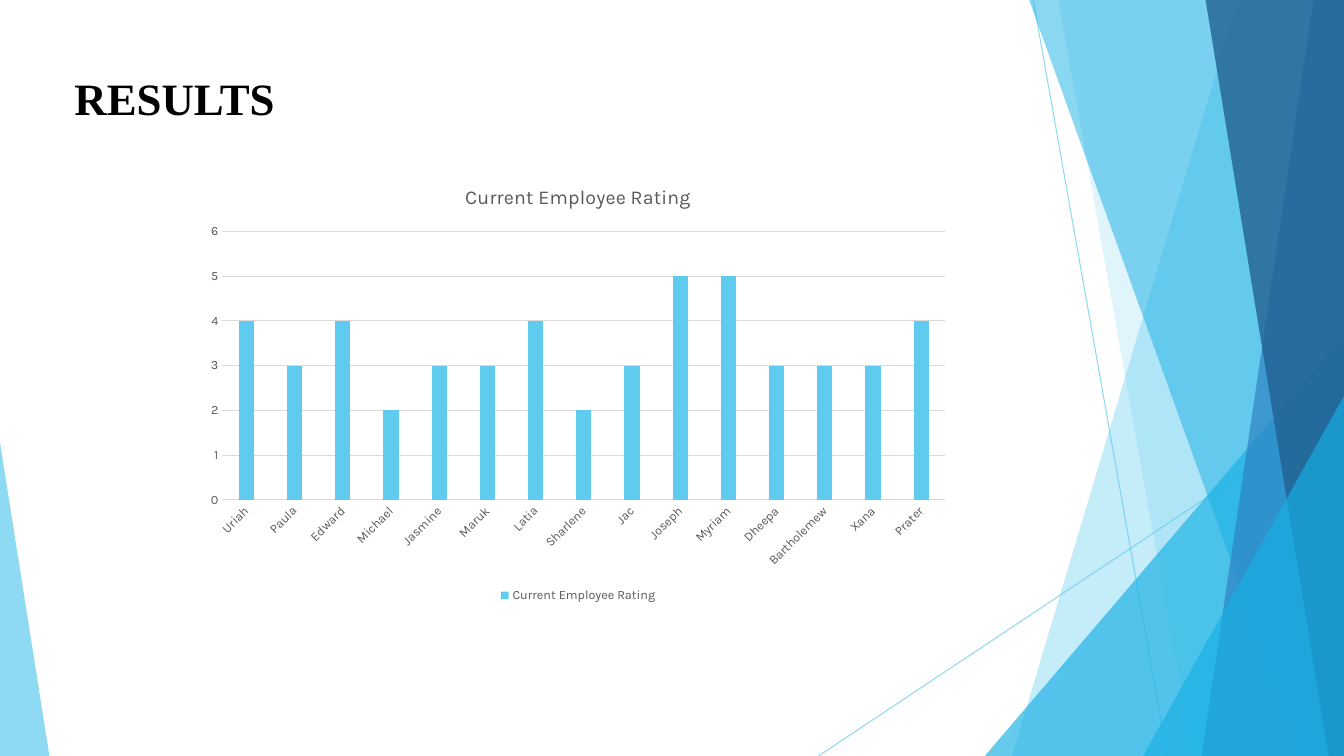
from dataclasses import dataclass

from lxml.etree import SubElement
from pptx import Presentation
from pptx.chart.data import CategoryChartData
from pptx.dml.color import RGBColor
from pptx.enum.chart import XL_CHART_TYPE, XL_LEGEND_POSITION, XL_TICK_MARK
from pptx.enum.shapes import MSO_CONNECTOR, MSO_SHAPE
from pptx.oxml.ns import qn
from pptx.util import Emu, Inches, Pt

# Grid: square cells of a tenth of an inch
CELL = Inches(0.1)
COLUMNS, ROWS = 133.33, 75


@dataclass(frozen=True)
class Theme:
    sky: str = "5FCBEF"
    cyan: str = "17B0E4"
    blue: str = "2E83C3"
    navy: str = "226292"
    ink: str = "000000"
    gray: str = "595959"
    rule: str = "D9D9D9"
    heading_font: str = "Times New Roman"
    chart_font: str = "Karla"
    heading_size: float = 32
    chart_title_size: float = 14
    chart_size: float = 10
    label_size: float = 9
    line_width: float = 0.75


THEME = Theme()


@dataclass(frozen=True)
class Ray:
    """A thin line across the page."""
    start: tuple[float, float]
    end: tuple[float, float]


@dataclass(frozen=True)
class Band:
    """A full-height band from a slanted left edge to the page's right side."""
    top_column: float
    bottom_column: float
    color: str
    opacity: int


@dataclass(frozen=True)
class Wedge:
    """A triangle standing on the bottom edge, its tip at a share of its width."""
    left: float
    top: float
    width: float
    tip: float
    color: str
    opacity: int


DECORATION = [
    Ray((102.5, 0), (115.8, ROWS)),
    Ray((COLUMNS, 40.3), (81.2, ROWS)),
    Band(122.8, 100.4, THEME.sky, 36),
    Band(105, 118.3, THEME.sky, 20),
    Wedge(97.7, 33.3, COLUMNS - 97.7, 1, THEME.cyan, 66),
    Band(102.1, 129.1, THEME.cyan, 50),
    Band(130.3, 119.2, THEME.blue, 70),
    Band(119.6, 131.8, THEME.navy, 80),
    Wedge(113.4, 39.3, COLUMNS - 113.4, 1, THEME.cyan, 66),
    Wedge(0, 43.9, 4.9, 0, THEME.sky, 70),
]

RATINGS = {
    "Uriah": 4, "Paula": 3, "Edward": 4, "Michael": 2, "Jasmine": 3,
    "Maruk": 3, "Latia": 4, "Sharlene": 2, "Jac": 3, "Joseph": 5,
    "Myriam": 5, "Dheepa": 3, "Bartholemew": 3, "Xana": 3, "Prater": 4,
}
RATING_TITLE = "Current Employee Rating"


def cells(count: float) -> Emu:
    return Emu(round(count * CELL))


def paint(fill, color: str, opacity: int = 100) -> None:
    fill.solid()
    fill.fore_color.rgb = RGBColor.from_string(color)
    if opacity < 100:
        for tint in fill._xPr.iter(qn("a:srgbClr")):
            SubElement(tint, qn("a:alpha")).set("val", str(opacity * 1000))


def style_font(font, size: float, color: str, name: str, bold: bool = False) -> None:
    font.size, font.name, font.bold = Pt(size), name, bold
    font.color.rgb = RGBColor.from_string(color)


def write(frame, text: str, **font_format) -> None:
    span = frame.paragraphs[0].add_run()
    span.text = text
    style_font(span.font, **font_format)


# Decoration
def draw_ray(page, ray: Ray) -> None:
    points = [cells(value) for value in (*ray.start, *ray.end)]
    line = page.shapes.add_connector(MSO_CONNECTOR.STRAIGHT, *points)
    line.line.width = Pt(THEME.line_width)
    paint(line.line.fill, THEME.sky, 70)
    SubElement(line._element.spPr, qn("a:effectLst"))


def finish_shape(shape, color: str, opacity: int) -> None:
    shape.shadow.inherit = False
    shape.line.fill.background()
    paint(shape.fill, color, opacity)


def draw_band(page, band: Band) -> None:
    outline = page.shapes.build_freeform(cells(band.top_column), 0)
    corners = [(COLUMNS, 0), (COLUMNS, ROWS), (band.bottom_column, ROWS)]
    outline.add_line_segments([(cells(x), cells(y)) for x, y in corners])
    finish_shape(outline.convert_to_shape(), band.color, band.opacity)


def draw_wedge(page, wedge: Wedge) -> None:
    shape = page.shapes.add_shape(
        MSO_SHAPE.ISOSCELES_TRIANGLE, cells(wedge.left), cells(wedge.top),
        cells(wedge.width), cells(ROWS - wedge.top))
    shape.adjustments[0] = wedge.tip
    finish_shape(shape, wedge.color, wedge.opacity)


# Rating chart
def draw_chart(page) -> None:
    data = CategoryChartData()
    data.categories = list(RATINGS)
    data.add_series(RATING_TITLE, list(RATINGS.values()))
    chart = page.shapes.add_chart(
        XL_CHART_TYPE.COLUMN_CLUSTERED, cells(19.4), cells(16.5),
        cells(75.9), cells(43.7), data).chart
    style_font(chart.font, THEME.chart_size, THEME.ink, THEME.chart_font)
    label = dict(size=THEME.label_size, color=THEME.gray, name=THEME.chart_font)

    chart.has_title = True
    write(chart.chart_title.text_frame, RATING_TITLE,
          **{**label, "size": THEME.chart_title_size})
    chart.chart_title.include_in_layout = False
    chart.has_legend = True
    chart.legend.position = XL_LEGEND_POSITION.BOTTOM
    chart.legend.include_in_layout = False
    style_font(chart.legend.font, **label)

    plot = chart.plots[0]
    plot.vary_by_categories = False
    plot.gap_width, plot.overlap = 219, -27
    paint(plot.series[0].format.fill, THEME.sky)

    names, values = chart.category_axis, chart.value_axis
    for axis in (names, values):
        axis.major_tick_mark = axis.minor_tick_mark = XL_TICK_MARK.NONE
        style_font(axis.tick_labels.font, **label)
    values.minimum_scale, values.maximum_scale, values.major_unit = 0, 6, 1
    values.format.line.fill.background()
    for line in (names.format.line, values.major_gridlines.format.line):
        line.width = Pt(THEME.line_width)
        paint(line.fill, THEME.rule)
    # Slant the names by 45 degrees
    names._element.find(f"{qn('c:txPr')}/{qn('a:bodyPr')}").set("rot", "-2700000")


def main() -> None:
    deck = Presentation()
    deck.slide_width, deck.slide_height = cells(COLUMNS), cells(ROWS)
    page = deck.slides.add_slide(deck.slide_layouts[6])

    draw = {Ray: draw_ray, Band: draw_band, Wedge: draw_wedge}
    for part in DECORATION:
        draw[type(part)](page, part)

    # Heading
    box = page.shapes.add_textbox(cells(6.4), cells(6.5), cells(75.9), cells(6.4))
    box.text_frame.word_wrap = True
    write(box.text_frame, "RESULTS", size=THEME.heading_size, color=THEME.ink,
          name=THEME.heading_font, bold=True)

    draw_chart(page)
    deck.save("out.pptx")


if __name__ == "__main__":
    main()
